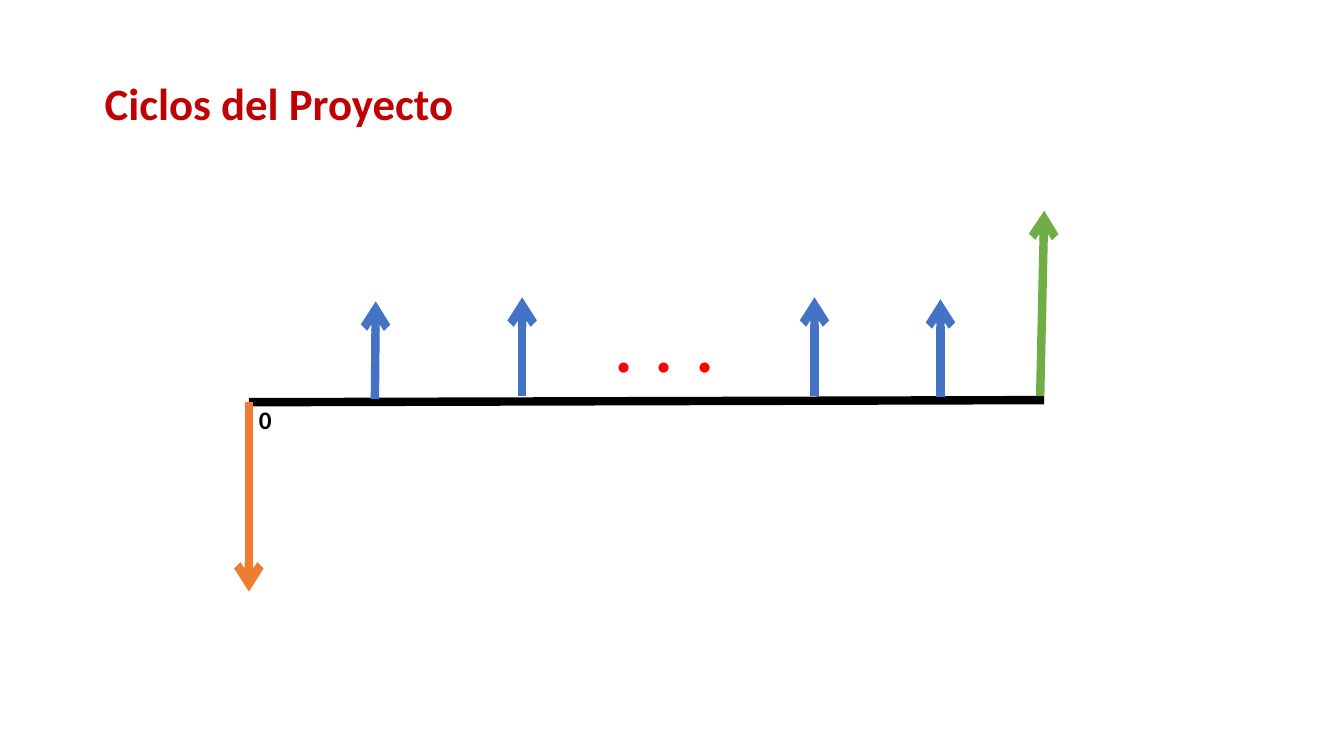
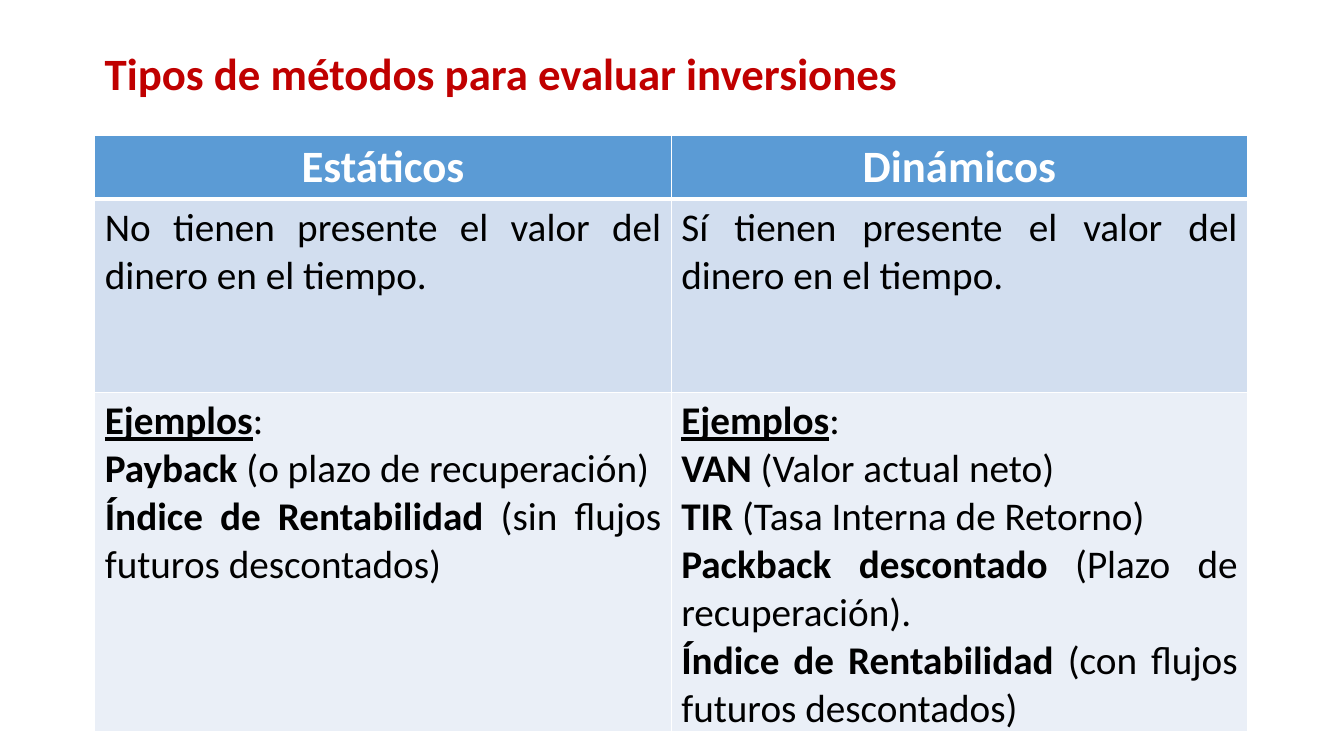
from pptx import Presentation
from pptx.dml.color import RGBColor
from pptx.enum.shapes import MSO_CONNECTOR
from pptx.enum.text import MSO_ANCHOR, PP_ALIGN as Align
from pptx.oxml.ns import qn
from pptx.util import Pt
from lxml.etree import SubElement

FONT = "Calibri"
BLACK, WHITE, TITLE_RED, DOT_RED = "000000", "FFFFFF", "C00000", "FF0000"
BLUE, ORANGE, GREEN = "4472C4", "ED7D31", "70AD47"
HEADER_FILL, ROW_FILLS = "5B9BD5", ("D2DEEF", "EAEFF7")
LEFT = 67.7

TIMELINE = ((177.8, 287.3), (745.9, 285.8))
# Each arrow: start, end, colour
CASH_FLOWS = [
    ((177.8, 287.3), (177.8, 422.6), ORANGE),
    ((267.8, 285.1), (268.4, 215.3), BLUE),
    ((373, 283), (373, 212.4), BLUE),
    ((581.8, 283), (581.8, 212.4), BLUE),
    ((671.8, 283.7), (671.8, 213.8), BLUE),
    ((743, 283), (745.9, 150.5), GREEN),
]

HEADERS = ["Estáticos", "Dinámicos"]
DESCRIPTIONS = [
    "No tienen presente el valor del dinero en el tiempo.",
    "Sí tienen presente el valor del dinero en el tiempo.",
]
# Each example: bold name, explanation
EXAMPLES = [
    [("Payback", " (o plazo de recuperación)"),
     ("Índice de Rentabilidad ", "(sin flujos futuros descontados)")],
    [("VAN", " (Valor actual neto)"),
     ("TIR ", "(Tasa Interna de Retorno)"),
     ("Packback descontado ", "(Plazo de recuperación)."),
     ("Índice de Rentabilidad ", "(con flujos futuros descontados)")],
]
TABLE_TOP, COLUMN_WIDTH = 96.5, 411.8
ROW_HEIGHTS = [45.6, 138.2, 242.2]


def rgb(color):
    return RGBColor.from_string(color)


def add_span(para, text, size, color=BLACK, bold=False, underline=False):
    span = para.add_run()
    span.text = text
    font = span.font
    font.name, font.size, font.bold = FONT, Pt(size), bold
    font.underline = underline
    font.color.rgb = rgb(color)


def add_label(page, bounds, text, size, color, bold=True):
    box = page.shapes.add_textbox(*map(Pt, bounds))
    box.text_frame.word_wrap = True
    add_span(box.text_frame.paragraphs[0], text, size, color, bold)


def add_page(deck, title, title_top):
    page = deck.slides.add_slide(deck.slide_layouts[6])
    add_label(page, (LEFT, title_top, 809.3, 46), title, 32, TITLE_RED)
    return page


def add_line(page, start, end, color, arrow=False):
    line = page.shapes.add_connector(
        MSO_CONNECTOR.STRAIGHT, *map(Pt, (*start, *end)))
    line.line.color.rgb = rgb(color)
    line.line.width = Pt(6)
    if arrow:
        SubElement(line.line._get_or_add_ln(), qn("a:tailEnd"), type="arrow")
    SubElement(line._element.spPr, qn("a:effectLst"))


def style_cell(cell, fill, bottom_width=1):
    """Draw white borders first, since the schema puts them before the fill."""
    properties = cell._tc.get_or_add_tcPr()
    for side in "LRTB":
        width = bottom_width if side == "B" else 1
        border = SubElement(properties, qn(f"a:ln{side}"), w=str(Pt(width)))
        solid = SubElement(border, qn("a:solidFill"))
        SubElement(solid, qn("a:srgbClr"), val=WHITE)
    cell.fill.solid()
    cell.fill.fore_color.rgb = rgb(fill)
    cell.vertical_anchor = MSO_ANCHOR.TOP


def write_cell(cell, paragraphs, align):
    """Write paragraphs, each a list of argument tuples for add_span."""
    frame = cell.text_frame
    for index, spans in enumerate(paragraphs):
        para = frame.add_paragraph() if index else frame.paragraphs[0]
        para.alignment = align
        for span in spans:
            add_span(para, *span)


def build_cycles(deck):
    page = add_page(deck, "Ciclos del Proyecto", 50.4)
    add_line(page, *TIMELINE, BLACK)
    for start, end, color in CASH_FLOWS:
        add_line(page, start, end, color, arrow=True)
    add_label(page, (177.8, 285.1, 33.8, 29), "0", 18, BLACK)
    add_label(page, (431.3, 202.3, 118, 80), ". . .", 60, DOT_RED, bold=False)


def build_methods(deck):
    page = add_page(deck, "Tipos de métodos para evaluar inversiones", 28.8)
    bounds = (LEFT, TABLE_TOP, COLUMN_WIDTH * len(HEADERS), sum(ROW_HEIGHTS))
    table = page.shapes.add_table(
        len(ROW_HEIGHTS), len(HEADERS), *map(Pt, bounds)).table
    for row, height in zip(table.rows, ROW_HEIGHTS):
        row.height = Pt(height)
    for index, (header, description, examples) in enumerate(
            zip(HEADERS, DESCRIPTIONS, EXAMPLES)):
        table.columns[index].width = Pt(COLUMN_WIDTH)
        head, body, foot = (table.cell(row, index) for row in range(3))
        style_cell(head, HEADER_FILL, bottom_width=3)
        write_cell(head, [[(header, 32, WHITE, True)]], Align.CENTER)
        style_cell(body, ROW_FILLS[0])
        write_cell(body, [[(description, 28)]], Align.JUSTIFY)
        style_cell(foot, ROW_FILLS[1])
        lines = [[("Ejemplos", 28, BLACK, True, True), (":", 28)]]
        lines += [[(name, 28, BLACK, True), (detail, 28)]
                  for name, detail in examples]
        write_cell(foot, lines, Align.JUSTIFY)


def main():
    deck = Presentation()
    deck.slide_width, deck.slide_height = Pt(960), Pt(540)
    build_cycles(deck)
    build_methods(deck)
    deck.save("out.pptx")


if __name__ == "__main__":
    main()
